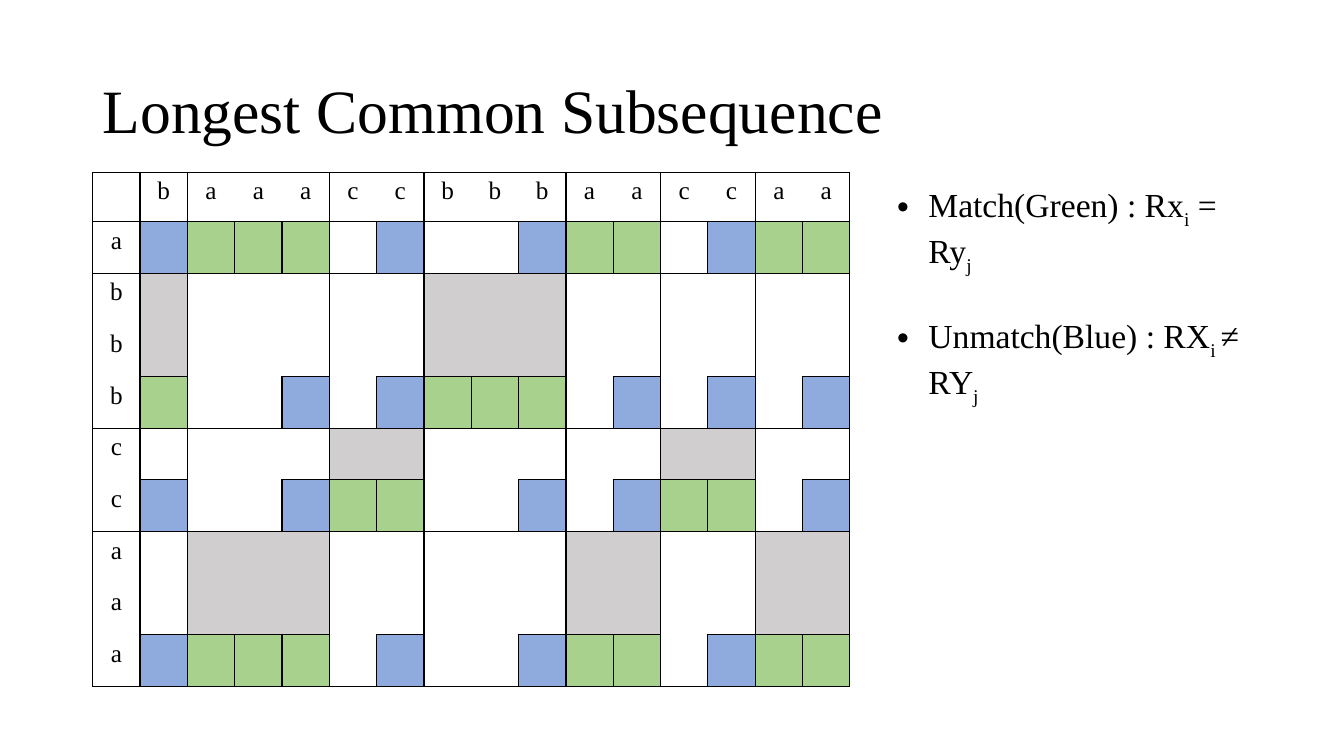
from itertools import groupby

from lxml.etree import SubElement
from pptx import Presentation
from pptx.dml.color import RGBColor as RGB
from pptx.enum.text import MSO_ANCHOR as ANCHOR, MSO_AUTO_SIZE as AUTO, PP_ALIGN as ALIGN
from pptx.oxml import parse_xml
from pptx.oxml.ns import nsdecls, qn
from pptx.util import Inches, Pt

COLORS = {"ink": "000000", "match": "A9D18E", "unmatch": "8FAADC", "inside": "D0CECE"}
FONT = "Times New Roman"
X = "baaaccbbbaaccaa"
Y = "abbbccaaa"


def add_text(p, text, size=18, color="ink", sub=False):
    r = p.add_run()
    r.text = text
    r.font.name = FONT
    r.font.size = Pt(size)
    r.font.color.rgb = RGB.from_string(COLORS[color])
    if sub:
        r._r.get_or_add_rPr().set("baseline", "-25000")


def run_ids(text):
    """Number the run each letter belongs to; the header comes first as run 0."""
    ids = [0]
    for n, (_, letters) in enumerate(groupby(text), 1):
        ids += [n for _ in letters]
    return ids


class Grid:
    """Blocks of run-length encoded strings: colours and block edges."""

    def __init__(self, x, y):
        self.x, self.y = " " + x, " " + y
        self.cols, self.rows = run_ids(x), run_ids(y)

    def label(self, row, col):
        return (self.x[col] if row == 0 else self.y[row] if col == 0 else "").strip()

    def color(self, row, col):
        if row == 0 or col == 0:
            return None
        bottom = row + 1 == len(self.rows) or self.rows[row + 1] != self.rows[row]
        right = col + 1 == len(self.cols) or self.cols[col + 1] != self.cols[col]
        if self.x[col] == self.y[row]:
            return "match" if bottom else "inside"
        return "unmatch" if bottom and right else None

    def has_edge(self, row, col, d_row, d_col):
        row2, col2 = row + d_row, col + d_col
        if not (0 <= row2 < len(self.rows) and 0 <= col2 < len(self.cols)):
            return True
        if self.rows[row] != self.rows[row2] or self.cols[col] != self.cols[col2]:
            return True
        boxed = ("match", "unmatch")
        return self.color(row, col) in boxed or self.color(row2, col2) in boxed


class Deck:
    SIDES = {"L": (0, -1), "R": (0, 1), "T": (-1, 0), "B": (1, 0)}

    def __init__(self):
        self.prs = Presentation()
        self.prs.slide_width, self.prs.slide_height = Inches(13.33), Inches(7.5)
        self.s = self.prs.slides.add_slide(self.prs.slide_layouts[6])

    def text_box(self, x, y, w, h):
        sp = self.s.shapes.add_textbox(Inches(x), Inches(y), Inches(w), Inches(h))
        sp.text_frame.word_wrap = True
        return sp.text_frame

    def title(self, text, *box):
        tf = self.text_box(*box)
        tf.vertical_anchor = ANCHOR.MIDDLE
        p = tf.paragraphs[0]
        p.line_spacing = 0.9
        add_text(p, text, size=44)

    def bullets(self, items, *box, size=24, gap=28):
        tf = self.text_box(*box)
        tf.auto_size = AUTO.SHAPE_TO_FIT_TEXT
        for n, parts in enumerate(items):
            p = tf.add_paragraph() if n else tf.paragraphs[0]
            p.space_before = Pt(gap if n else 0)
            pPr = p._p.get_or_add_pPr()
            pPr.set("marL", str(Inches(0.31)))
            pPr.set("indent", str(-Inches(0.31)))
            SubElement(pPr, qn("a:buFont")).set("typeface", "Arial")
            SubElement(pPr, qn("a:buChar")).set("char", "•")
            # Every second part is a subscript
            for k, part in enumerate(parts):
                add_text(p, part, size=size, sub=k % 2 == 1)

    def borders(self, cell, grid, row, col):
        tcPr = cell._tc.get_or_add_tcPr()
        for n, (side, step) in enumerate(self.SIDES.items()):
            fill = "<a:noFill/>"
            if grid.has_edge(row, col, *step):
                fill = f'<a:solidFill><a:srgbClr val="{COLORS["ink"]}"/></a:solidFill>'
            ln = f'<a:ln{side} {nsdecls("a")} w="{Pt(1)}">{fill}</a:ln{side}>'
            tcPr.insert(n, parse_xml(ln))

    def table(self, grid, x, y, w, h, head):
        n_rows, n_cols = len(grid.rows), len(grid.cols)
        table = self.s.shapes.add_table(n_rows, n_cols, Inches(x), Inches(y),
                                        Inches(w), Inches(h)).table
        table.first_row = table.horz_banding = False
        for column in table.columns:
            column.width = Inches(w / n_cols)
        for n, line in enumerate(table.rows):
            line.height = Inches((h - head) / (n_rows - 1) if n else head)
        for row in range(n_rows):
            for col in range(n_cols):
                cell = table.cell(row, col)
                color = grid.color(row, col)
                if color:
                    cell.fill.solid()
                    cell.fill.fore_color.rgb = RGB.from_string(COLORS[color])
                else:
                    cell.fill.background()
                self.borders(cell, grid, row, col)
                label = grid.label(row, col)
                if label:
                    p = cell.text_frame.paragraphs[0]
                    p.alignment = ALIGN.CENTER
                    add_text(p, label)


def main():
    deck = Deck()
    # Title
    deck.title("Longest Common Subsequence", 0.92, 0.4, 11.5, 1.45)
    # Comparison table
    deck.table(Grid(X, Y), 0.92, 1.71, 7.51, 5.1, head=0.49)
    # Legend
    deck.bullets([("Match(Green) : Rx", "i", " = Ry", "j"),
                  ("Unmatch(Blue) : RX", "i ", "≠ RY", "j")], 8.8, 1.78, 3.62, 2.39)
    deck.prs.save("out.pptx")


if __name__ == "__main__":
    main()
